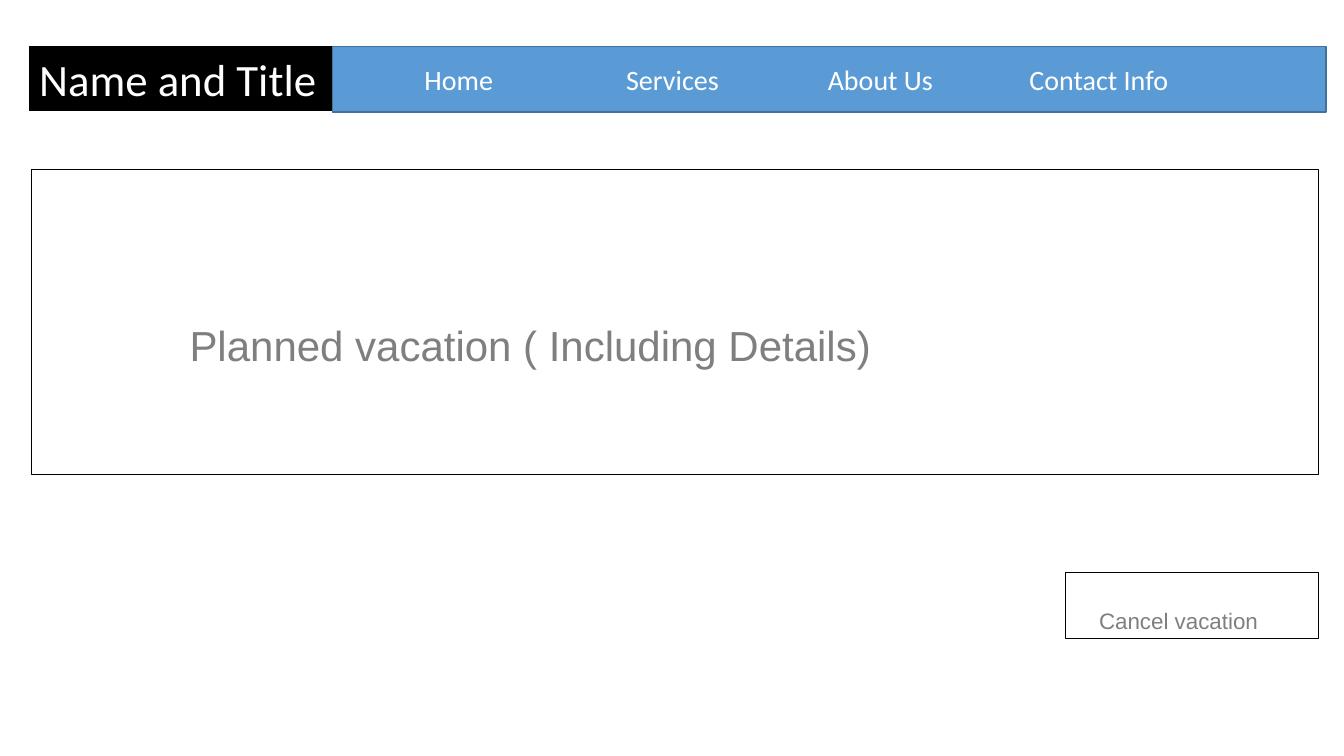
from lxml.etree import SubElement
from pptx import Presentation
from pptx.dml.color import RGBColor
from pptx.enum.shapes import MSO_SHAPE
from pptx.enum.text import MSO_ANCHOR, PP_ALIGN
from pptx.oxml.ns import qn
from pptx.util import Inches, Pt

COLORS = {
    "black": "000000",
    "white": "FFFFFF",
    "blue": "5B9BD5",
    "edge": "42719B",
    "gray": "7F7F7F",
}


def color(name):
    """Return the named colour."""
    return RGBColor.from_string(COLORS[name])


def write(shape, text, size, font="Arial", ink="gray", indent=0.1, drop=0.05,
          anchor=MSO_ANCHOR.TOP, step=None):
    """Put formatted text in a shape, with optional even tab stops."""
    frame = shape.text_frame
    frame.word_wrap = True
    frame.vertical_anchor = anchor
    frame.margin_left, frame.margin_top = Inches(indent), Inches(drop)
    frame.margin_right, frame.margin_bottom = Inches(0.1), Inches(0.05)
    para = frame.paragraphs[0]
    para.alignment = PP_ALIGN.LEFT
    if step:
        tabs = SubElement(para._p.get_or_add_pPr(), qn("a:tabLst"))
        for stop in range(1, text.count("\t") + 1):
            SubElement(tabs, qn("a:tab"), pos=str(Inches(step * stop)), algn="l")
    run = para.add_run()
    run.text = text
    run.font.size = Pt(size)
    run.font.name = font
    run.font.color.rgb = color(ink)


class Page:
    """Hold the current slide and its box style."""

    def __init__(self, slide, line="black", width=0.75):
        """Keep the slide and the default outline."""
        self.slide, self.line, self.width = slide, line, width

    def box(self, left, top, width, height, text, fill=None, line=None,
            weight=None, **style):
        """Add a rectangle with text."""
        shape = self.slide.shapes.add_shape(
            MSO_SHAPE.RECTANGLE, Inches(left), Inches(top),
            Inches(width), Inches(height))
        shape.shadow.inherit = False
        if fill:
            shape.fill.solid()
            shape.fill.fore_color.rgb = color(fill)
        else:
            shape.fill.background()
        shape.line.color.rgb = color(line or self.line)
        shape.line.width = Pt(weight or self.width)
        write(shape, text, **style)


def main():
    """Build the vacation page."""
    deck = Presentation()
    deck.slide_width, deck.slide_height = Inches(13.33), Inches(7.5)
    page = Page(deck.slides.add_slide(deck.slide_layouts[6]))

    head = {"font": "Calibri", "ink": "white", "weight": 1}
    links = ["Home", "Services", "About Us", "Contact Info"]
    page.box(0.29, 0.46, 3.01, 0.64, "Name and Title", fill="black",
             size=32, **head)
    page.box(3.3, 0.46, 9.85, 0.65, "\t".join(links), fill="blue", line="edge",
             size=20, indent=0.91, step=2, anchor=MSO_ANCHOR.MIDDLE, **head)

    page.box(0.31, 1.68, 12.77, 3.03, "Planned vacation ( Including Details)",
             size=30, indent=1.57, drop=1.49)
    page.box(10.57, 5.68, 2.51, 0.66, "Cancel vacation",
             size=16, indent=0.33, drop=0.34)
    deck.save("out.pptx")


main()
